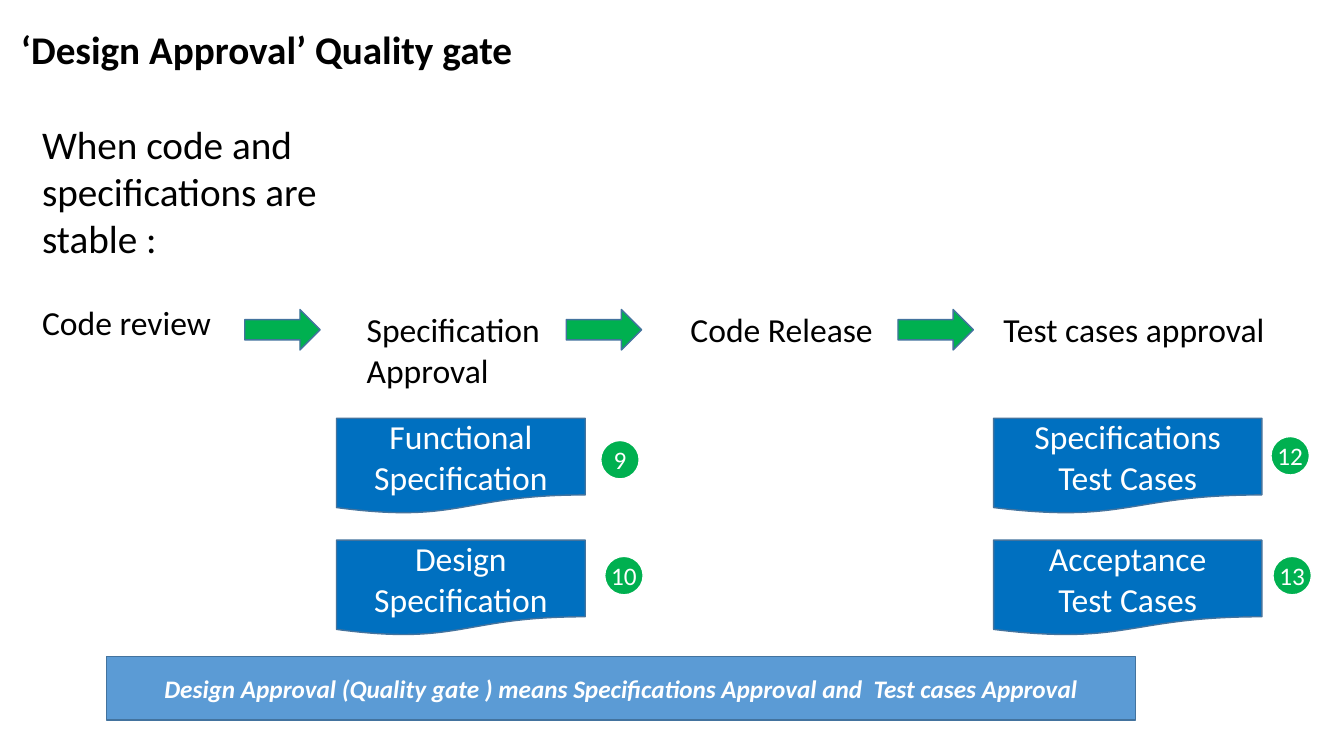
"""Build the 'Design Approval' quality gate slide."""
from pptx import Presentation
from pptx import util as u
from pptx.dml.color import RGBColor
from pptx.enum import shapes, text

COLORS = {"text": "000000", "white": "FFFFFF", "green": "00B050",
          "document": "0070C0", "banner": "5B9BD5", "outline": "43739E"}
MSO = shapes.MSO_SHAPE
CENTER = text.PP_ALIGN.CENTER


def write(sp, lines, color, size, align=None, **fmt):
    tf = sp.text_frame
    tf.word_wrap = True
    for i, line in enumerate(lines):
        p = tf.paragraphs[0] if i == 0 else tf.add_paragraph()
        p.alignment = align
        r = p.add_run()
        r.text = line
        r.font.color.rgb = RGBColor.from_string(COLORS[color])
        for name, value in {"name": "Calibri", "size": u.Pt(size), **fmt}.items():
            setattr(r.font, name, value)
    return tf


def add_box(kind, box, fill, line="outline"):
    sp = s.shapes.add_shape(kind, *map(u.Cm, box))
    sp.shadow.inherit = False
    sp.fill.solid()
    sp.fill.fore_color.rgb = RGBColor.from_string(COLORS[fill])
    sp.line.color.rgb = RGBColor.from_string(COLORS[line])
    sp.line.width = u.Pt(1)
    sp.text_frame.vertical_anchor = text.MSO_ANCHOR.MIDDLE
    return sp


prs = Presentation()
prs.slide_width, prs.slide_height = u.Cm(33.87), u.Cm(19.05)
s = prs.slides.add_slide(prs.slide_layouts[6])

title = s.shapes.add_textbox(*map(u.Cm, (0.28, 0.64, 33.07, 2.59)))
tf = write(title, ["‘Design Approval’ Quality gate"], "text", 28, bold=True)
tf.paragraphs[0].line_spacing = 0.9

intro = s.shapes.add_textbox(*map(u.Cm, (0.81, 2.9, 9.45, 5.89)))
tf = write(intro, ["When code and specifications are stable :", "Code review"], "text", 28)
tf.paragraphs[1].space_before = u.Pt(29)
tf.paragraphs[1].runs[0].font.size = u.Pt(24)

steps = [(8.99, ["Specification", "Approval"]), (17.15, ["Code Release"]),
         (25.04, ["Test cases approval"])]
for x, lines in steps:
    sp = s.shapes.add_textbox(*map(u.Cm, (x, 7.67, 8.5, 0.25 + 1.03 * len(lines))))
    write(sp, lines, "text", 24)

for x in (6.17, 14.27, 22.63):
    add_box(MSO.RIGHT_ARROW, (x, 7.8, 1.9, 1.02), "green")

documents = [
    (8.48, 10.54, 6.27, ["Functional Specification"]),
    (8.48, 13.61, 6.27, ["Design", "Specification"]),
    (25.04, 10.54, 6.76, ["Specifications", "Test Cases"]),
    (25.04, 13.61, 6.76, ["Acceptance", "Test Cases"]),
]
for x, y, width, lines in documents:
    sp = add_box(MSO.FLOWCHART_DOCUMENT, (x, y, width, 2.41), "document")
    write(sp, lines, "white", 24, CENTER)

badges = [(15.14, 11.1, "9"), (15.24, 14.02, "10"),
          (32.03, 11, "12"), (32.08, 14.02, "13")]
for x, y, number in badges:
    sp = add_box(MSO.OVAL, (x, y, 0.97, 0.97), "green", "white")
    tf = write(sp, [number], "white", 18, CENTER)
    tf.margin_left = tf.margin_right = 0
    tf.word_wrap = False

banner = add_box(MSO.RECTANGLE, (2.69, 16.54, 25.93, 1.6), "banner")
write(banner, ["Design Approval (Quality gate ) means Specifications Approval and  Test cases Approval"],
      "white", 18, CENTER, bold=True, italic=True)

prs.save("out.pptx")
